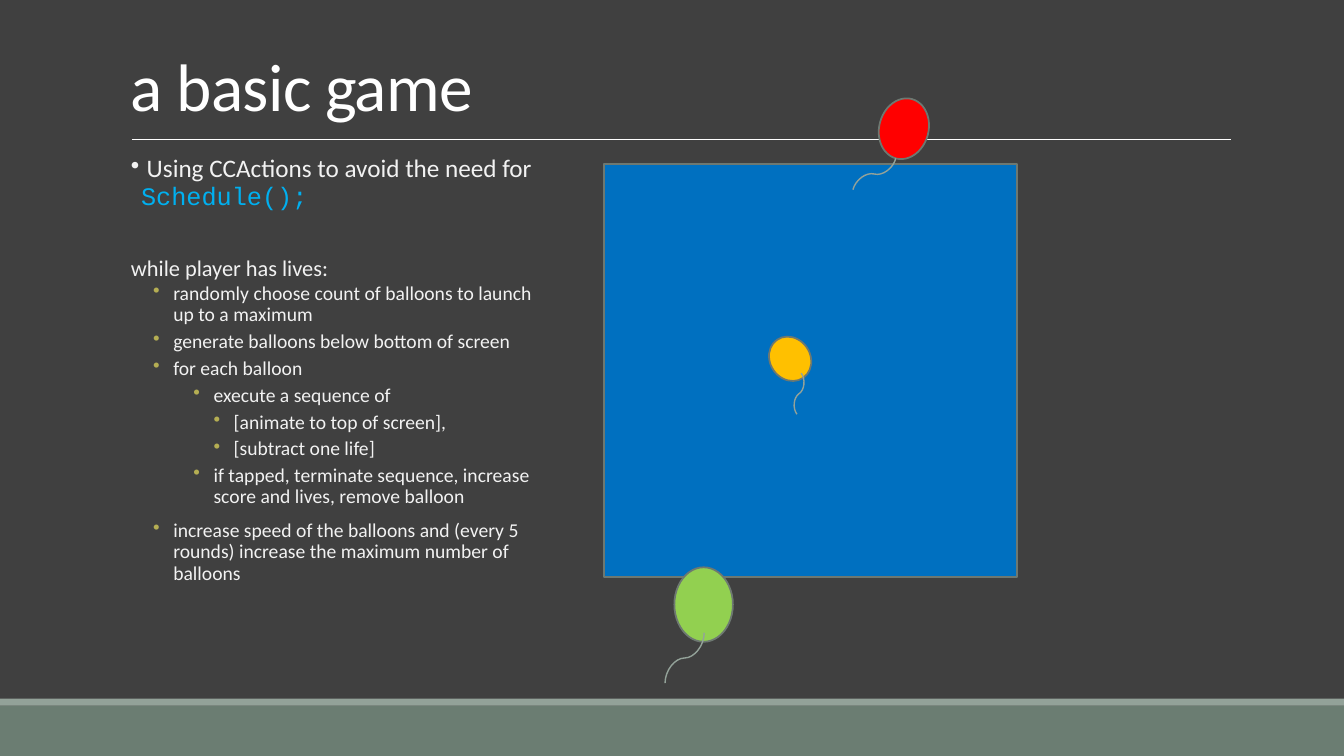
from lxml.etree import SubElement
from pptx import Presentation
from pptx.dml.color import RGBColor
from pptx.enum.shapes import MSO_CONNECTOR, MSO_SHAPE
from pptx.enum.text import MSO_ANCHOR
from pptx.oxml.ns import qn
from pptx.util import Pt


def paint(color_format, hex_color):
    color_format.rgb = RGBColor.from_string(hex_color)


def add_run(paragraph, text, size, color="F2F2F2", font="Calibri"):
    run = paragraph.add_run()
    run.text = text
    run.font.size = Pt(size)
    run.font.name = font
    paint(run.font.color, color)
    return run


deck = Presentation()
deck.slide_width, deck.slide_height = Pt(960), Pt(540)
slide = deck.slides.add_slide(deck.slide_layouts[6])
slide.background.fill.solid()
paint(slide.background.fill.fore_color, "404040")

OVAL, RECT = MSO_SHAPE.OVAL, MSO_SHAPE.RECTANGLE
STRAIGHT, CURVE = MSO_CONNECTOR.STRAIGHT, MSO_CONNECTOR.CURVE

parts = [
    (RECT, (0, 504, 960, 36), 0, "6B7D72", None),
    (RECT, (0, 499, 960, 5), 0, "93A299", None),
    (STRAIGHT, (94.3, 99.4, 784.8, 0), 0, "FFFFFF", 0.5),
    (RECT, (431.3, 117.2, 295.2, 295.2), 0, "0070C0", 1.25),
    (OVAL, (481.7, 405.2, 41.8, 53.2), 0, "92D050", 1.25),
    (CURVE, (471, 456, 36, 28), 90, "93A299", 1),
    (OVAL, (628, 70, 35.3, 43.9), 14.9, "FF0000", 1.25),
    (CURVE, (609.8, 112.4, 29.5, 23.8), 105, "93A299", 1),
    (OVAL, (550, 239.8, 28.8, 33), 325.4, "FFC000", 1.25),
    (CURVE, (559.6, 271.5, 22.3, 19.4), 55, "93A299", 1),
]
for kind, (left, top, width, height), turn, color, weight in parts:
    if isinstance(kind, MSO_CONNECTOR):
        string = slide.shapes.add_connector(
            kind, Pt(left), Pt(top), Pt(left + width), Pt(top + height))
        paint(string.line.color, color)
        string.line.width = Pt(weight)
        properties = string._element.spPr
        properties.find(qn("a:xfrm")).set("rot", str(turn * 60000))
        SubElement(properties, qn("a:effectLst"))
        continue
    body = slide.shapes.add_shape(kind, Pt(left), Pt(top), Pt(width), Pt(height))
    body.rotation = turn
    body.shadow.inherit = False
    body.fill.solid()
    paint(body.fill.fore_color, color)
    if weight:
        paint(body.line.color, "6D7871")
        body.line.width = Pt(weight)
    else:
        body.line.fill.background()

title = slide.shapes.add_textbox(Pt(86.4), Pt(22.3), Pt(792), Pt(70.6)).text_frame
title.word_wrap = True
title.vertical_anchor = MSO_ANCHOR.BOTTOM
title.paragraphs[0].line_spacing = 0.85
heading = add_run(title.paragraphs[0], "a basic game", 48, "FFFFFF")
heading.font._element.set("spc", "-50")

outline = slide.shapes.add_textbox(Pt(93.6), Pt(108), Pt(295.2), Pt(382.3)).text_frame
outline.word_wrap = True
outline.margin_left = outline.margin_right = 0

steps = [
    (0, 7.2, -7.2, 0, 18, " Using CCActions to avoid the need for "),
    (0, 0, 0, 31, 16, "while player has lives:"),
    (1, 30.2, -14.4, 0, 14, "randomly choose count of balloons to launch up to a maximum"),
    (1, 30.2, -14.4, 0, 14, "generate balloons below bottom of screen"),
    (1, 30.2, -14.4, 0, 14, "for each balloon"),
    (3, 59, -14.4, 0, 14, "execute a sequence of"),
    (4, 73.4, -14.4, 0, 14, "[animate to top of screen],"),
    (4, 73.4, -14.4, 0, 14, "[subtract one life]"),
    (3, 59, -14.4, 0, 14,
     "if tapped, terminate sequence, increase score and lives, remove balloon"),
    (1, 30.2, -14.4, 5, 14,
     "increase speed of the balloons and (every 5 rounds) increase the maximum number of balloons"),
]
for number, (level, margin, indent, gap, size, text) in enumerate(steps):
    step = outline.add_paragraph() if number else outline.paragraphs[0]
    step.level = level
    step.line_spacing = 0.9
    step.space_before = Pt(gap)
    step.space_after = Pt(4 if level else 2)
    add_run(step, text, size)
    layout = step._p.get_or_add_pPr()
    layout.set("marL", str(int(Pt(margin))))
    layout.set("indent", str(int(Pt(indent))))
    if level:
        bullet_color = SubElement(layout, qn("a:buClr"))
        SubElement(bullet_color, qn("a:srgbClr"), val="B5AE53")
    if indent:
        SubElement(layout, qn("a:buChar"), char="•")
add_run(outline.paragraphs[0], "Schedule();", 18, "00B0F0", "Courier New")

deck.save("out.pptx")
